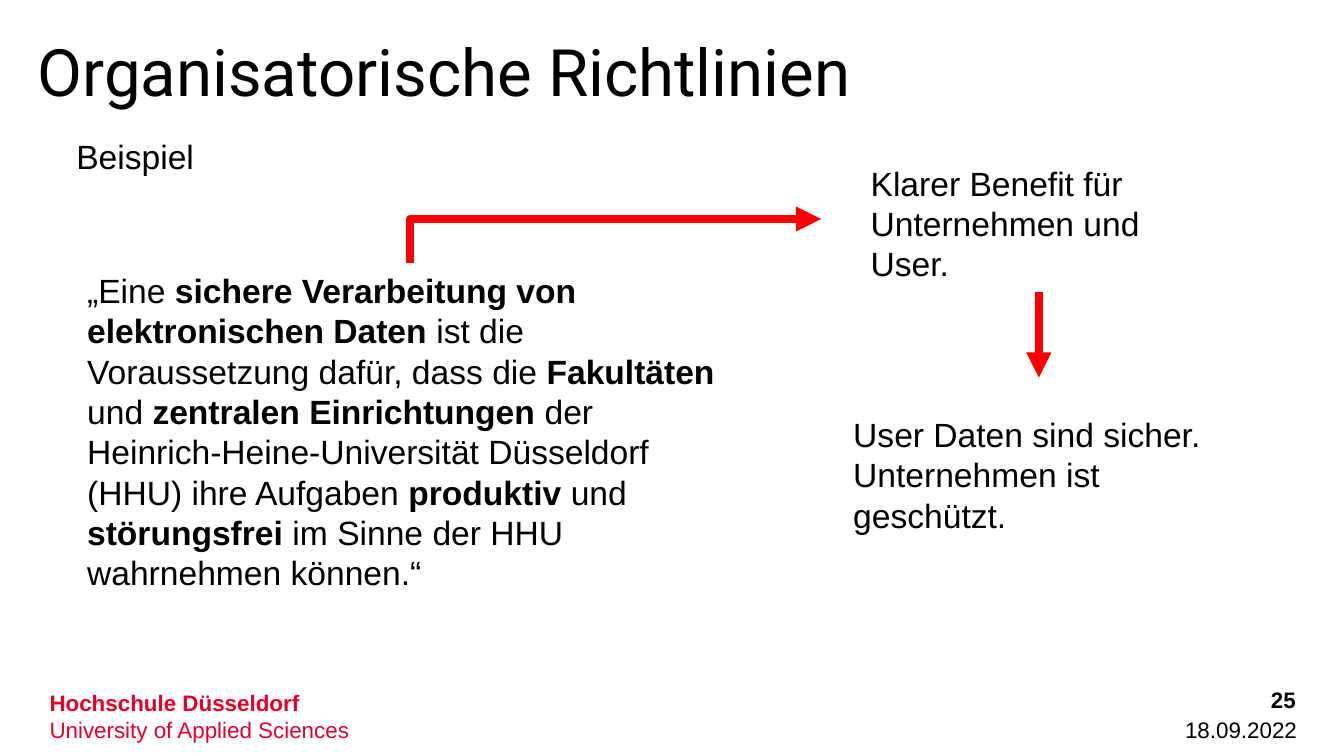
from lxml.etree import SubElement
from pptx import Presentation
from pptx.dml.color import RGBColor
from pptx.enum.shapes import MSO_CONNECTOR
from pptx.enum.text import MSO_ANCHOR, MSO_AUTO_SIZE, PP_ALIGN
from pptx.oxml.ns import qn
from pptx.util import Inches, Pt

WIDE = 10
HIGH = WIDE * 9 / 16
BLACK, RED, BRAND = "000000", "FF0000", "E60028"

TITLE = "Organisatorische Richtlinien"
# Each paragraph is a list of pieces; every second piece is bold.
QUOTE = [[
    "„Eine ", "sichere Verarbeitung von elektronischen Daten",
    " ist die Voraussetzung dafür, dass die ", "Fakultäten",
    " und ", "zentralen Einrichtungen ",
    "der Heinrich-Heine-Universität Düsseldorf (HHU) ihre Aufgaben ",
    "produktiv", " und ", "störungsfrei",
    " im Sinne der HHU wahrnehmen können.“",
]]
BENEFIT = [["Klarer Benefit für Unternehmen und User."]]
RESULT = [["User Daten sind sicher. Unternehmen ist geschützt."]]
SCHOOL = [["", "Hochschule Düsseldorf"], ["University of Applied Sciences"]]


def style(font, size, color=BLACK, name="Arial", bold=False):
    font.size, font.name, font.bold = Pt(size), name, bold
    font.color.rgb = RGBColor.from_string(color)


def add_text(slide, area, paras, size=18, color=BLACK, align=PP_ALIGN.LEFT,
             anchor=MSO_ANCHOR.TOP, grow=True):
    box = slide.shapes.add_textbox(*map(Inches, area))
    frame = box.text_frame
    frame.word_wrap = True
    frame.auto_size = MSO_AUTO_SIZE.SHAPE_TO_FIT_TEXT if grow else MSO_AUTO_SIZE.NONE
    frame.vertical_anchor = anchor
    for i, pieces in enumerate(paras):
        para = frame.paragraphs[0] if i == 0 else frame.add_paragraph()
        para.alignment = align
        for j, piece in enumerate(pieces):
            if piece:
                run = para.add_run()
                run.text = piece
                style(run.font, size, color, bold=j % 2 == 1)
    return box


def add_arrow(slide, kind, start, end):
    arrow = slide.shapes.add_connector(kind, *map(Inches, start + end))
    arrow.line.color.rgb = RGBColor.from_string(RED)
    arrow.line.width = Pt(4.5)
    SubElement(arrow.line._get_or_add_ln(), qn("a:tailEnd"), type="triangle")
    SubElement(arrow._element.spPr, qn("a:effectLst"))
    return arrow


def add_corner(slide, start, end):
    """Add an arrow that runs up from start, then right to end."""
    (x1, y1), (x2, y2) = start, end
    midx, midy = (x1 + x2) / 2, (y1 + y2) / 2
    # The frame is turned by 90 degrees, so its sides swap about the centre.
    dx, dy = (y1 - y2) / 2, (x2 - x1) / 2
    arrow = add_arrow(slide, MSO_CONNECTOR.ELBOW,
                      (midx + dx, midy + dy), (midx - dx, midy - dy))
    props = arrow._element.spPr
    props.find(qn("a:xfrm")).set("rot", str(90 * 60000))
    props.find(qn("a:prstGeom")).set("prst", "bentConnector2")


def main():
    deck = Presentation()
    deck.slide_width, deck.slide_height = Inches(WIDE), Inches(HIGH)
    slide = deck.slides.add_slide(deck.slide_layouts[5])

    title = slide.shapes.title
    title.left, title.top, title.width, title.height = map(
        Inches, (0.28, 0.23, 9.46, 0.58))
    frame = title.text_frame
    frame.text = TITLE
    frame.margin_left = frame.margin_right = 0
    frame.margin_top = frame.margin_bottom = 0
    frame.vertical_anchor = MSO_ANCHOR.TOP
    frame.paragraphs[0].alignment = PP_ALIGN.LEFT
    style(frame.paragraphs[0].runs[0].font, 35, name="Roboto")

    add_text(slide, (0.27, 5.08, 3.05, 0.5), SCHOOL, 12, BRAND)
    add_text(slide, (8.7, 5.23, 1.05, 0.39), [["18.09.2022"]], 12,
             align=PP_ALIGN.RIGHT, anchor=MSO_ANCHOR.MIDDLE, grow=False)
    add_text(slide, (8.56, 5.06, 1.18, 0.37), [["", "25"]], 12,
             align=PP_ALIGN.RIGHT, grow=False)

    add_text(slide, (0.47, 0.96, 4.17, 0.4), [["Beispiel"]])
    add_text(slide, (0.55, 1.96, 5.01, 2.52), QUOTE)
    benefit = add_text(slide, (6.38, 1.16, 2.7, 1.01), BENEFIT)
    add_text(slide, (6.25, 3.03, 2.98, 1.01), RESULT)

    add_corner(slide, (3.05, 1.96), (6.11, 1.63))
    down = add_arrow(slide, MSO_CONNECTOR.STRAIGHT, (7.73, 2.17), (7.73, 2.81))
    down.begin_connect(benefit, 2)

    deck.save("out.pptx")


if __name__ == "__main__":
    main()
